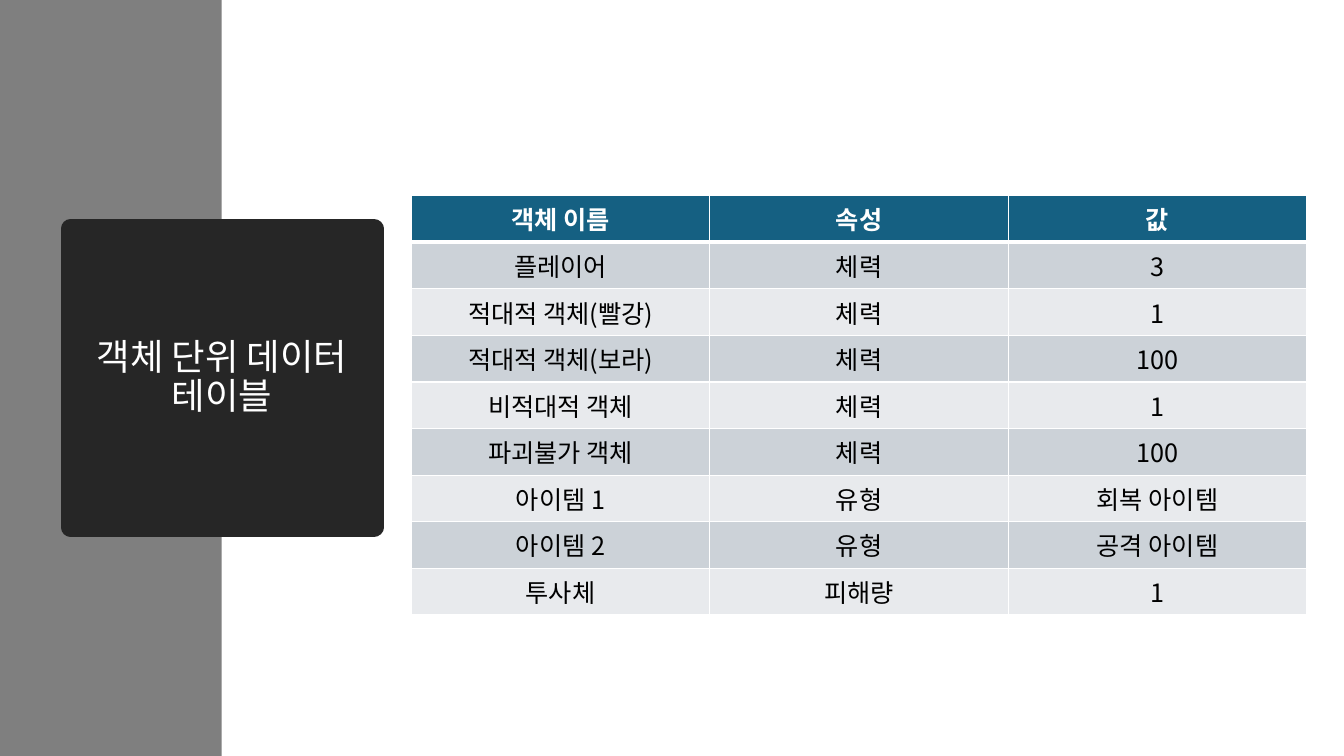
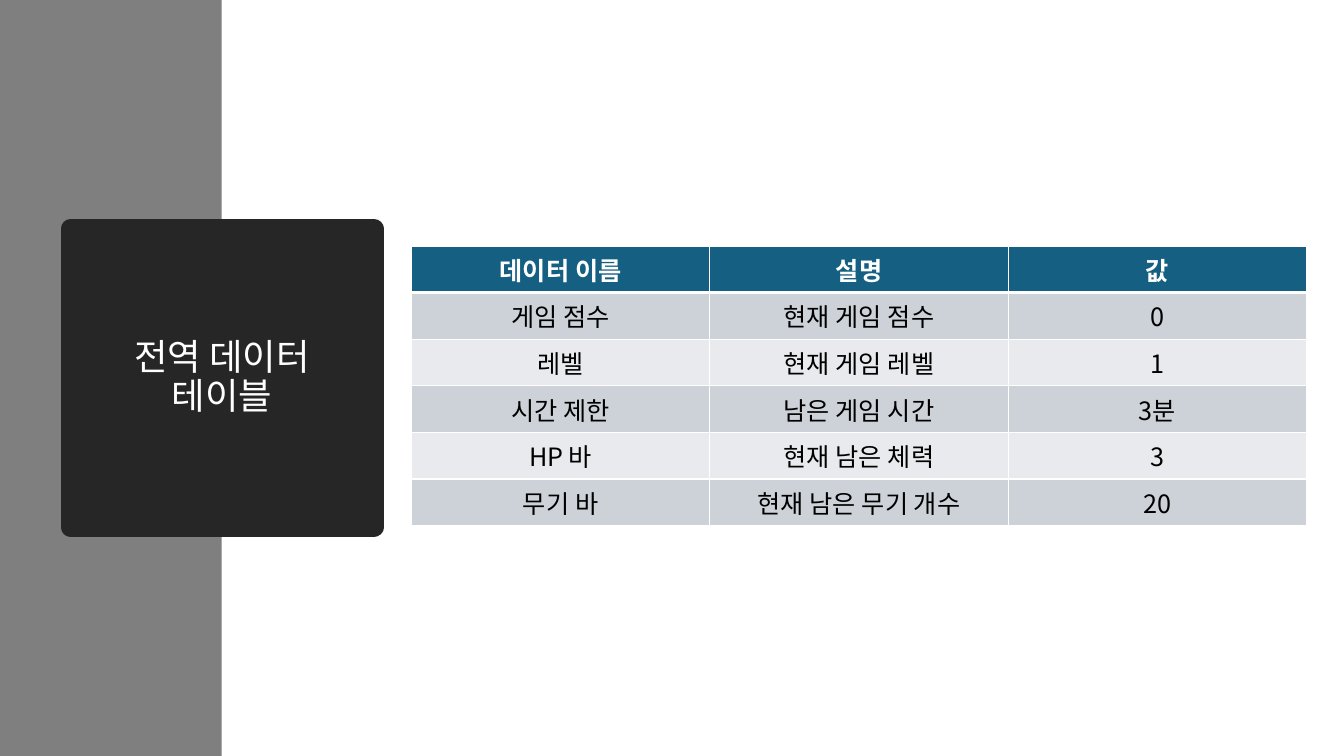
from dataclasses import dataclass

from lxml.etree import SubElement
from pptx import Presentation
from pptx.dml.color import RGBColor as RGB
from pptx.enum.shapes import MSO_SHAPE as SHAPE
from pptx.enum.text import MSO_ANCHOR as ANCHOR, MSO_AUTO_SIZE as AUTO_SIZE, PP_ALIGN as ALIGN
from pptx.oxml.ns import qn
from pptx.util import Pt

EMU_PER_PX = 9144
TITLE_ONLY = 5


@dataclass(frozen=True)
class Theme:
    font: str = "Noto Sans CJK KR"
    white: str = "FFFFFF"
    ink: str = "000000"
    side_band: str = "7F7F7F"
    title_panel: str = "262626"
    header: str = "156082"
    stripes: tuple = ("CCD2D8", "E8EAED")
    title_size: int = 26
    cell_size: int = 18
    panel_outline: float = 13.75
    grid_line: int = 1
    header_rule: int = 3


def px(length):
    return length * EMU_PER_PX


class Deck:
    """Holds the theme, the presentation and the slide being built."""

    def __init__(self, theme):
        self.theme = theme
        self.prs = Presentation()
        self.prs.slide_width, self.prs.slide_height = px(1333), px(750)
        self.slide = None

    def add_slide(self, title):
        self.slide = self.prs.slides.add_slide(self.prs.slide_layouts[TITLE_ONLY])
        self.side_band()
        self.title(title)

    def side_band(self):
        shapes = self.slide.shapes
        band = shapes.add_shape(SHAPE.RECTANGLE, 0, 0, px(220), px(750))
        band.shadow.inherit = False
        self.paint(band.fill, self.theme.side_band)
        band.line.fill.background()
        shapes.title.element.addprevious(band.element)

    def title(self, text):
        panel = self.slide.shapes.title
        panel.left, panel.top, panel.width, panel.height = map(px, (70, 227, 301, 296))
        self.paint(panel.fill, self.theme.title_panel)
        self.paint(panel.line.fill, self.theme.title_panel)
        panel.line.width = Pt(self.theme.panel_outline)
        SubElement(panel.line.fill._xPr, qn("a:round"))
        frame = panel.text_frame
        frame.text = text
        frame.word_wrap = True
        frame.auto_size = AUTO_SIZE.NONE
        frame.vertical_anchor = ANCHOR.MIDDLE
        frame.paragraphs[0].line_spacing = 0.9
        self.style(frame.paragraphs[0], self.theme.title_size, self.theme.white)

    def table(self, top, rows, left=408, column=296, row_height=46):
        columns = len(rows[0])
        grid = self.slide.shapes.add_table(
            len(rows), columns, px(left), px(top),
            px(column * columns), px(row_height * len(rows))).table
        grid.first_row = True
        grid.horz_banding = False
        for r, row in enumerate(rows):
            for c, text in enumerate(row):
                self.cell(grid.cell(r, c), text, r)

    def cell(self, cell, text, row):
        theme = self.theme
        is_header = row == 0
        self.borders(cell, row)
        self.paint(cell.fill, theme.header if is_header else theme.stripes[(row - 1) % 2])
        cell.text_frame.text = text
        self.style(cell.text_frame.paragraphs[0], theme.cell_size,
                   theme.white if is_header else theme.ink, is_header)

    def borders(self, cell, row):
        thin, thick = self.theme.grid_line, self.theme.header_rule
        widths = {"L": thin, "R": thin,
                  "T": thick if row == 1 else thin,
                  "B": thick if row == 0 else thin}
        properties = cell._tc.get_or_add_tcPr()
        for side, width in widths.items():
            edge = SubElement(properties, qn(f"a:ln{side}"), w=str(Pt(width)))
            fill = SubElement(edge, qn("a:solidFill"))
            SubElement(fill, qn("a:srgbClr"), val=self.theme.white)

    def style(self, paragraph, size, color, bold=False):
        paragraph.alignment = ALIGN.CENTER
        for run in paragraph.runs:
            font = run.font
            font.name, font.size, font.bold = self.theme.font, Pt(size), bold
            font.color.rgb = RGB.from_string(color)
            SubElement(run._r.get_or_add_rPr(), qn("a:ea"), typeface=self.theme.font)

    @staticmethod
    def paint(fill, color):
        fill.solid()
        fill.fore_color.rgb = RGB.from_string(color)


def main():
    deck = Deck(Theme())

    deck.add_slide("객체 단위 데이터 테이블")
    deck.table(194, [
        ("객체 이름", "속성", "값"),
        ("플레이어", "체력", "3"),
        ("적대적 객체(빨강)", "체력", "1"),
        ("적대적 객체(보라)", "체력", "100"),
        ("비적대적 객체", "체력", "1"),
        ("파괴불가 객체", "체력", "100"),
        ("아이템 1", "유형", "회복 아이템"),
        ("아이템 2", "유형", "공격 아이템"),
        ("투사체", "피해량", "1"),
    ])

    deck.add_slide("전역 데이터 테이블")
    deck.table(244, [
        ("데이터 이름", "설명", "값"),
        ("게임 점수", "현재 게임 점수", "0"),
        ("레벨", "현재 게임 레벨", "1"),
        ("시간 제한", "남은 게임 시간", "3분"),
        ("HP 바", "현재 남은 체력", "3"),
        ("무기 바", "현재 남은 무기 개수", "20"),
    ])

    deck.prs.save("out.pptx")


if __name__ == "__main__":
    main()
